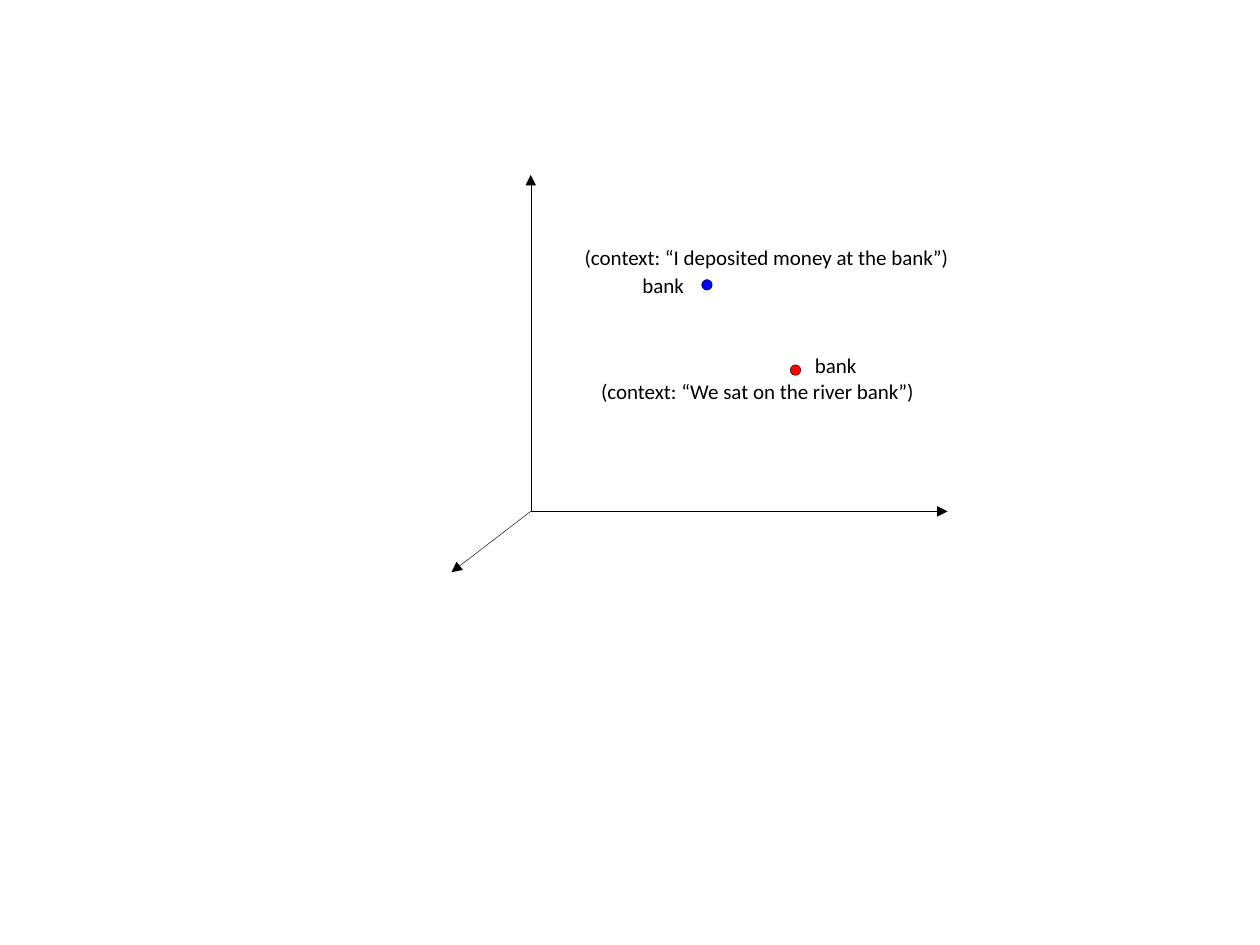
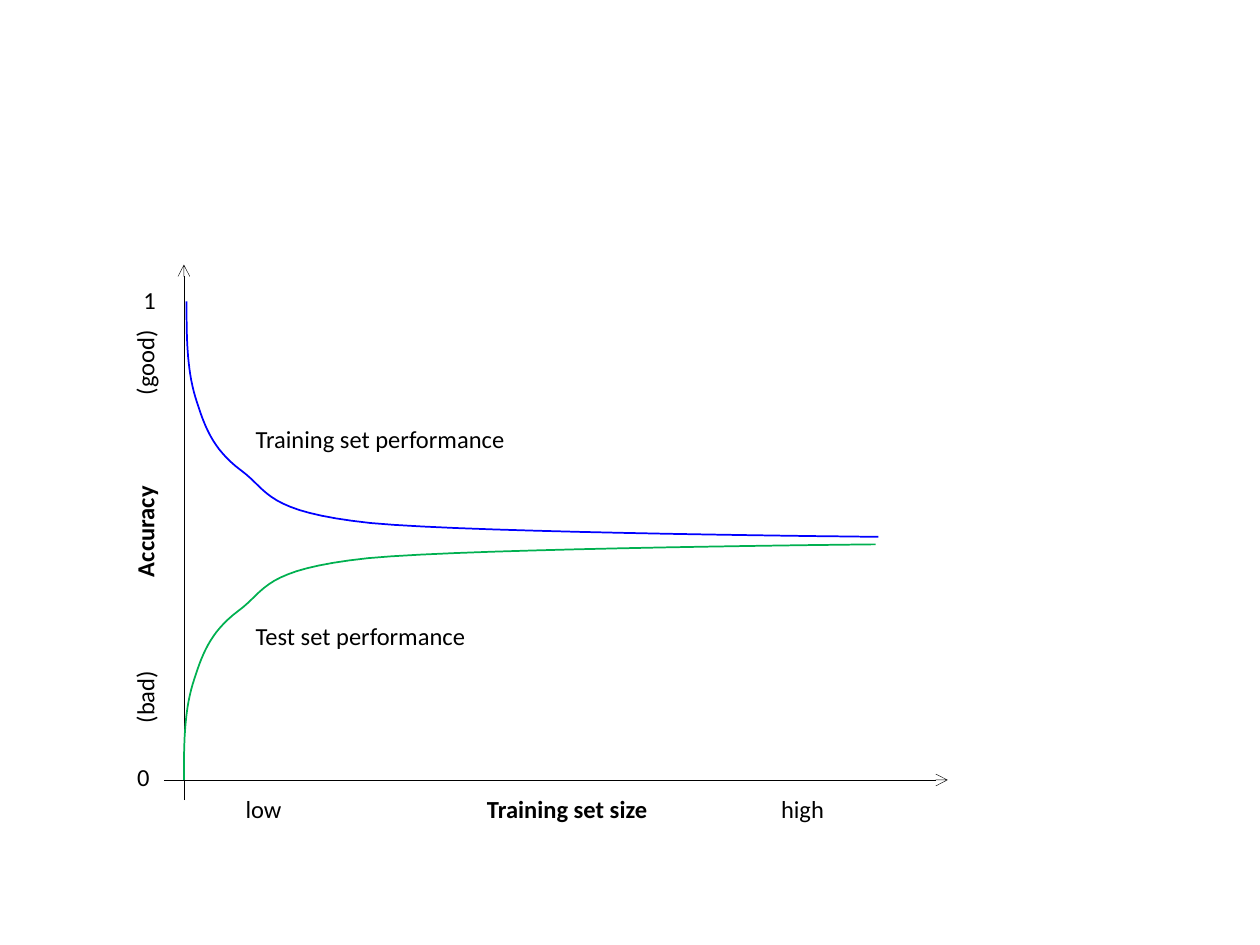
from lxml.etree import SubElement
from pptx import Presentation
from pptx.dml.color import RGBColor
from pptx.enum.shapes import MSO_CONNECTOR, MSO_SHAPE
from pptx.enum.text import MSO_AUTO_SIZE
from pptx.oxml.ns import qn
from pptx.util import Pt

BLACK = RGBColor(0, 0, 0)
BLUE = RGBColor(0, 0, 255)
RED = RGBColor(255, 0, 0)
GREEN = RGBColor(0, 176, 80)
FONT = "Calibri"
THIN = Pt(0.25)
DOT = 6
BEND = [(0, 0), (0, 19), (0, 38), (5, 54.7), (10, 70.5), (14.4, 84.2), (31, 96.5),
        (47.5, 108.7), (44.6, 120.2), (105.1, 126.7), (165.6, 132.5),
        (395.3, 134.6), (395.3, 134.6)]
STEPS = 16


def style(para, size):
    """Set the shared text font on a paragraph."""
    para.font.name = FONT
    para.font.size = Pt(size)
    para.font.color.rgb = BLACK


def arrow(slide, box, start, end, head):
    """Draw a thin black arrow between two points of the box."""
    left, top = box
    line = slide.shapes.add_connector(
        MSO_CONNECTOR.STRAIGHT, Pt(left + start[0]), Pt(top + start[1]),
        Pt(left + end[0]), Pt(top + end[1]))
    line.line.color.rgb = BLACK
    line.line.width = THIN
    SubElement(line.line._get_or_add_ln(), qn("a:tailEnd"), type=head)
    SubElement(line._element.spPr, qn("a:effectLst"))


def label(slide, box, spot, text, size):
    """Write one line of text in a box that fits it."""
    x, y, width = spot
    shape = slide.shapes.add_textbox(
        Pt(box[0] + x), Pt(box[1] + y), Pt(width), Pt(size * 1.2 + 7.4))
    frame = shape.text_frame
    frame.word_wrap = False
    frame.auto_size = MSO_AUTO_SIZE.SHAPE_TO_FIT_TEXT
    frame.text = text
    style(frame.paragraphs[0], size)


def scale(slide, box, spot, words, stops, turn=0):
    """Write low end, bold axis name and high end at tab stops."""
    x, y, width = spot
    shape = slide.shapes.add_textbox(
        Pt(box[0] + x), Pt(box[1] + y), Pt(width), Pt(24.2))
    shape.rotation = turn
    shape.text_frame.word_wrap = True
    para = shape.text_frame.paragraphs[0]
    tabs = SubElement(para._p.get_or_add_pPr(), qn("a:tabLst"))
    for stop in stops:
        SubElement(tabs, qn("a:tab"), pos=str(Pt(stop)), algn="l")
    style(para, 14)
    low, name, high = words
    for text, bold in ((low + "\t", False), (name, True), ("\t" + high, False)):
        run = para.add_run()
        run.text = text
        run.font.bold = bold


def dot(slide, box, spot, fill):
    """Draw a small outlined point."""
    shape = slide.shapes.add_shape(
        MSO_SHAPE.OVAL, Pt(box[0] + spot[0]), Pt(box[1] + spot[1]), Pt(DOT), Pt(DOT))
    shape.shadow.inherit = False
    shape.fill.solid()
    shape.fill.fore_color.rgb = fill
    shape.line.color.rgb = BLACK
    shape.line.width = THIN


def trace(nodes):
    """Yield points along a chain of cubic curves."""
    for first in range(0, len(nodes) - 1, 3):
        a, b, c, d = nodes[first:first + 4]
        for step in range(1, STEPS + 1):
            t = step / STEPS
            u = 1 - t
            yield tuple(u**3 * p + 3 * u * u * t * q + 3 * u * t * t * r + t**3 * s
                        for p, q, r, s in zip(a, b, c, d))


def curve(slide, box, start, sign, color):
    """Draw the learning curve, falling for sign 1 and rising for -1."""
    x, y = box[0] + start[0], box[1] + start[1]
    path = slide.shapes.build_freeform(Pt(x), Pt(y))
    path.add_line_segments(
        [(Pt(x + dx), Pt(y + sign * dy)) for dx, dy in trace(BEND)], close=False)
    shape = path.convert_to_shape()
    shape.shadow.inherit = False
    shape.fill.background()
    shape.line.color.rgb = color
    shape.line.width = Pt(1)


def space(slide, box):
    """Draw word senses as points in a vector space."""
    root = (45.3, 192.2)
    for end in ((283.5, 192.2), (45.3, 0), (0, 227)):
        arrow(slide, box, root, end, "triangle")
    dot(slide, box, (143, 59.8), BLUE)
    dot(slide, box, (193.6, 108.5), RED)
    for spot, text in (
            ((102, 52, 39), "bank"),
            ((200.6, 98, 39), "bank"),
            ((69, 36, 235), "(context: “I deposited money at the bank”)"),
            ((78.4, 112.5, 202), "(context: “We sat on the river bank”)")):
        label(slide, box, spot, text, 12)


def learn(slide, box):
    """Draw accuracy against training set size."""
    arrow(slide, box, (0, 294.5), (448, 294.5), "arrow")
    arrow(slide, box, (11.5, 306), (11.5, 0), "arrow")
    scale(slide, box, (39.6, 298.8, 350), ("low", "Training set size", "high"), (138, 306))
    scale(slide, box, (-131.8, 136.1, 242), ("(bad)", "Accuracy", "(good)"), (83.6, 187.6), 270)
    curve(slide, box, (13, 21), 1, BLUE)
    curve(slide, box, (11.5, 294.5), -1, GREEN)
    for spot, text in (
            ((-18.7, 8, 21.6), "1"),
            ((-22.3, 280.8, 21.6), "0"),
            ((45.4, 200.2, 135), "Test set performance"),
            ((45.4, 87.8, 158), "Training set performance")):
        label(slide, box, spot, text, 14)


def main():
    """Build both slides and save them."""
    deck = Presentation()
    deck.slide_width, deck.slide_height = Pt(720), Pt(540)
    for draw, box in ((space, (258, 100)), (learn, (93.6, 151.2))):
        draw(deck.slides.add_slide(deck.slide_layouts[6]), box)
    deck.save("out.pptx")


if __name__ == "__main__":
    main()
